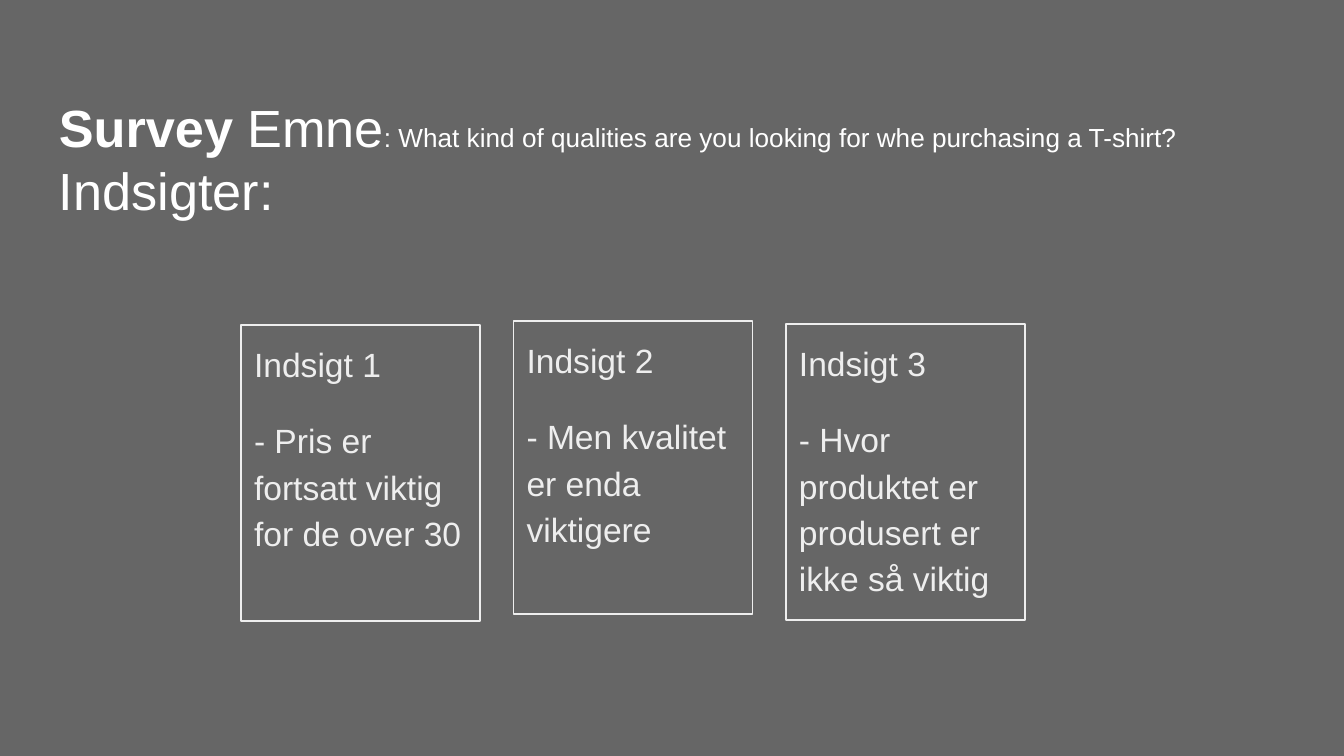
from pptx import Presentation
from pptx.dml.color import RGBColor
from pptx.enum.shapes import MSO_SHAPE
from pptx.enum.text import MSO_ANCHOR, PP_ALIGN
from pptx.util import Pt

SCALE = 914400 / 134.4
GREY = RGBColor(0x66, 0x66, 0x66)
WHITE = RGBColor(0xFF, 0xFF, 0xFF)
PALE = RGBColor(0xEE, 0xEE, 0xEE)
FONT = "Arial"
INSET = 13


def px(length):
    return round(length * SCALE)


def prepare_frame(shape):
    frame = shape.text_frame
    frame.word_wrap = True
    frame.vertical_anchor = MSO_ANCHOR.TOP
    frame.margin_left = frame.margin_right = px(INSET)
    frame.margin_top = frame.margin_bottom = px(INSET)
    return frame


def add_run(paragraph, text, size, color, bold=False):
    run = paragraph.add_run()
    run.text = text
    run.font.name = FONT
    run.font.size = Pt(size)
    run.font.bold = bold
    run.font.color.rgb = color


def add_title(slide, left, top, width, height):
    shape = slide.shapes.add_textbox(px(left), px(top), px(width), px(height))
    frame = prepare_frame(shape)
    paragraph = frame.paragraphs[0]
    add_run(paragraph, "Survey ", 28, WHITE, bold=True)
    add_run(paragraph, "Emne", 28, WHITE)
    add_run(paragraph, ": What kind of qualities are you looking for whe purchasing a T-shirt?", 14, WHITE)
    paragraph.add_line_break()
    add_run(paragraph, "Indsigter:", 28, WHITE)


def add_insight(slide, left, top, width, height, lines):
    shape = slide.shapes.add_shape(
        MSO_SHAPE.RECTANGLE, px(left), px(top), px(width), px(height))
    shape.shadow.inherit = False
    shape.fill.background()
    shape.line.color.rgb = PALE
    shape.line.width = Pt(0.75)
    frame = prepare_frame(shape)
    for index, line in enumerate(lines):
        paragraph = frame.add_paragraph() if index else frame.paragraphs[0]
        paragraph.alignment = PP_ALIGN.LEFT
        paragraph.line_spacing = 1.15
        paragraph.space_after = Pt(16)
        add_run(paragraph, line, 18, PALE)


presentation = Presentation()
presentation.slide_width = px(1344)
presentation.slide_height = px(756)
slide = presentation.slides.add_slide(presentation.slide_layouts[6])
slide.background.fill.solid()
slide.background.fill.fore_color.rgb = GREY

# Heading
add_title(slide, 46, 82, 1253, 85)

# Row of insight boxes: top, height, finding
insights = [
    (325, 296, "- Pris er fortsatt viktig for de over 30"),
    (321, 293, "- Men kvalitet er enda viktigere"),
    (324, 296, "- Hvor produktet er produsert er ikke så viktig"),
]
for index, (top, height, finding) in enumerate(insights):
    add_insight(slide, 241 + index * 272.5, top, 239, height,
                [f"Indsigt {index + 1}", finding])

presentation.save("out.pptx")
